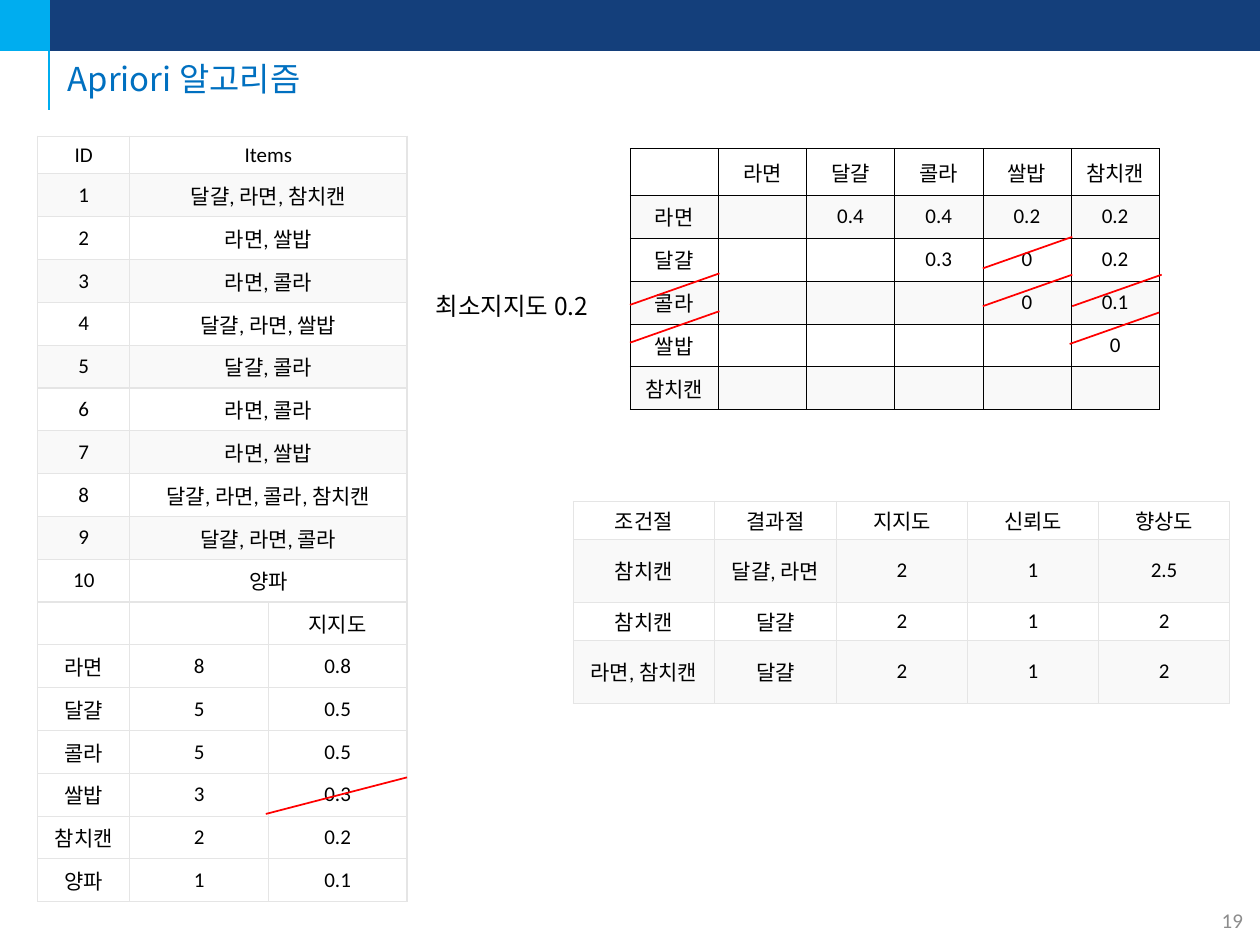
from lxml import etree
from pptx import Presentation
from pptx.dml.color import RGBColor
from pptx.enum.shapes import MSO_CONNECTOR, MSO_SHAPE
from pptx.enum.text import MSO_ANCHOR, PP_ALIGN
from pptx.oxml.ns import qn
from pptx.util import Inches, Pt

STRAIGHT, RECT = MSO_CONNECTOR.STRAIGHT, MSO_SHAPE.RECTANGLE
LEFT, CENTER = PP_ALIGN.LEFT, PP_ALIGN.CENTER
TOP, MIDDLE = MSO_ANCHOR.TOP, MSO_ANCHOR.MIDDLE

THEME = {
    "latin": "Calibri", "korean": "Noto Sans CJK KR",
    "navy": "143F7B", "cyan": "00ADEF", "title": "0070C0", "text": "000000",
    "muted": "8C8C8C", "white": "FFFFFF", "band": "F9F9F9",
    "grid": "E5E5E5", "strike": "FF0000",
    "title_pt": 18.8, "label_pt": 14, "cell_pt": 12,
}

BASKETS = ["달걀, 라면, 참치캔", "라면, 쌀밥", "라면, 콜라", "달걀, 라면, 쌀밥",
           "달걀, 콜라", "라면, 콜라", "라면, 쌀밥", "달걀, 라면, 콜라, 참치캔",
           "달걀, 라면, 콜라", "양파"]
SUPPORT = [("", "", "지지도"), ("라면", "8", "0.8"), ("달걀", "5", "0.5"),
           ("콜라", "5", "0.5"), ("쌀밥", "3", "0.3"), ("참치캔", "2", "0.2"),
           ("양파", "1", "0.1")]
ITEMS = ["라면", "달걀", "콜라", "쌀밥", "참치캔"]
PAIR_SUPPORT = [["0.4", "0.4", "0.2", "0.2"], ["0.3", "0", "0.2"],
                ["0", "0.1"], ["0"], []]
RULES = [("조건절", "결과절", "지지도", "신뢰도", "향상도"),
         ("참치캔", "달걀, 라면", "2", "1", "2.5"),
         ("참치캔", "달걀", "2", "1", "2"),
         ("라면, 참치캔", "달걀", "2", "1", "2")]

# Strikes rise from (left, bottom) by (width, height)
PAIR_STRIKES = [(7.8, 2.13), (7.8, 2.43), (8.49, 2.73), (8.51, 2.43),
                (5, 2.42), (5, 2.72)]
STRIKES = [(x, y, 0.71, 0.25) for x, y in PAIR_STRIKES] + [(2.11, 6.46, 1.12, 0.29)]


def rgb(name):
    return RGBColor.from_string(THEME[name])


def style_run(r, size, color, font):
    for key, value in {"size": Pt(THEME[size]), "name": THEME[font]}.items():
        setattr(r.font, key, value)
    r.font.color.rgb = rgb(color)
    ea = etree.SubElement(r.font._element, qn("a:ea"))
    ea.set("typeface", THEME["korean"])


def add_text(s, box, text, size, color, font, align=LEFT, anchor=MIDDLE,
             wrap=True, spacing=1.0):
    tf = s.shapes.add_textbox(*map(Inches, box)).text_frame
    tf.word_wrap, tf.vertical_anchor = wrap, anchor
    p = tf.paragraphs[0]
    p.alignment, p.line_spacing = align, spacing
    r = p.add_run()
    r.text = text
    style_run(r, size, color, font)


def add_bar(s, width, color):
    sp = s.shapes.add_shape(RECT, 0, 0, Inches(width), Inches(0.4))
    sp.shadow.inherit = False
    sp.fill.solid()
    sp.fill.fore_color.rgb = sp.line.color.rgb = rgb(color)
    sp.line.width = Pt(1)


def add_line(s, start, end, color, width):
    line = s.shapes.add_connector(STRAIGHT, *map(Inches, (*start, *end)))
    line.line.color.rgb = rgb(color)
    line.line.width = Pt(width)
    etree.SubElement(line._element.spPr, qn("a:effectLst"))


def set_borders(cell, color, width):
    tcPr = cell._tc.get_or_add_tcPr()
    for side in ("lnL", "lnR", "lnT", "lnB"):
        ln = etree.SubElement(tcPr, qn(f"a:{side}"), w=str(Pt(width)))
        fill = etree.SubElement(ln, qn("a:solidFill"))
        etree.SubElement(fill, qn("a:srgbClr"), val=THEME[color])


def add_grid(s, left, top, rows, widths, heights, border, border_pt,
             banded_rows, padding=0.05):
    """Add a centred table whose odd rows are shaded up to banded_rows."""
    table = s.shapes.add_table(len(rows), len(widths), Inches(left), Inches(top),
                               Inches(sum(widths)), Inches(sum(heights))).table
    table.first_row = table.horz_banding = False
    for col, width in zip(table.columns, widths):
        col.width = Inches(width)
    for i, (row, height) in enumerate(zip(rows, heights)):
        table.rows[i].height = Inches(height)
        for j, text in enumerate(row):
            cell = table.cell(i, j)
            set_borders(cell, border, border_pt)
            cell.fill.solid()
            cell.fill.fore_color.rgb = rgb("band" if i % 2 and i < banded_rows else "white")
            cell.vertical_anchor = MIDDLE
            cell.margin_top = cell.margin_bottom = Inches(padding)
            p = cell.text_frame.paragraphs[0]
            p.alignment = CENTER
            if text:
                r = p.add_run()
                r.text = text
                style_run(r, "cell_pt", "text", "latin")
            else:
                etree.SubElement(p._p, qn("a:endParaRPr"), sz=str(THEME["cell_pt"] * 100))
    return table


def main():
    prs = Presentation()
    prs.slide_width, prs.slide_height = Inches(10), Inches(7.5)
    s = prs.slides.add_slide(prs.slide_layouts[6])

    add_bar(s, 10, "navy")
    add_bar(s, 0.38, "cyan")
    add_line(s, (0.39, 0.87), (0.39, 0), "cyan", 1.5)
    add_text(s, (9.57, 7.1, 0.42, 0.4), "19", "cell_pt", "muted", "latin", CENTER)
    add_text(s, (0.44, 0.42, 9.7, 0.44), "Apriori 알고리즘", "title_pt", "title",
             "korean", spacing=0.9)

    baskets = [("ID", "Items", "")]
    baskets += [(str(n), items, "") for n, items in enumerate(BASKETS, 1)]
    rows = baskets + SUPPORT
    table = add_grid(s, 0.3, 1.08, rows, [0.73, 1.1, 1.1],
                     [0.3] + [0.34] * (len(rows) - 1), "grid", 0.75, len(baskets))
    for i in range(len(baskets)):
        table.cell(i, 1).merge(table.cell(i, 2))

    pairs = [[""] + ITEMS]
    for item, values in zip(ITEMS, PAIR_SUPPORT):
        pairs.append([item] + [""] * (len(ITEMS) - len(values)) + values)
    add_grid(s, 5, 1.18, pairs, [0.7] * 6, [0.37] + [0.34] * 5, "text", 0.25, len(pairs))

    add_text(s, (3.36, 2.26, 1.5, 0.34), "최소지지도 0.2", "label_pt", "text",
             "korean", anchor=TOP, wrap=False)
    add_grid(s, 4.55, 3.98, RULES, [1.12, 0.97, 1.04, 1.04, 1.04],
             [0.3, 0.5, 0.3, 0.5], "grid", 0.75, len(RULES), padding=0.01)

    for x, y, width, rise in STRIKES:
        add_line(s, (x, y), (x + width, y - rise), "strike", 1)
    prs.save("out.pptx")


if __name__ == "__main__":
    main()
